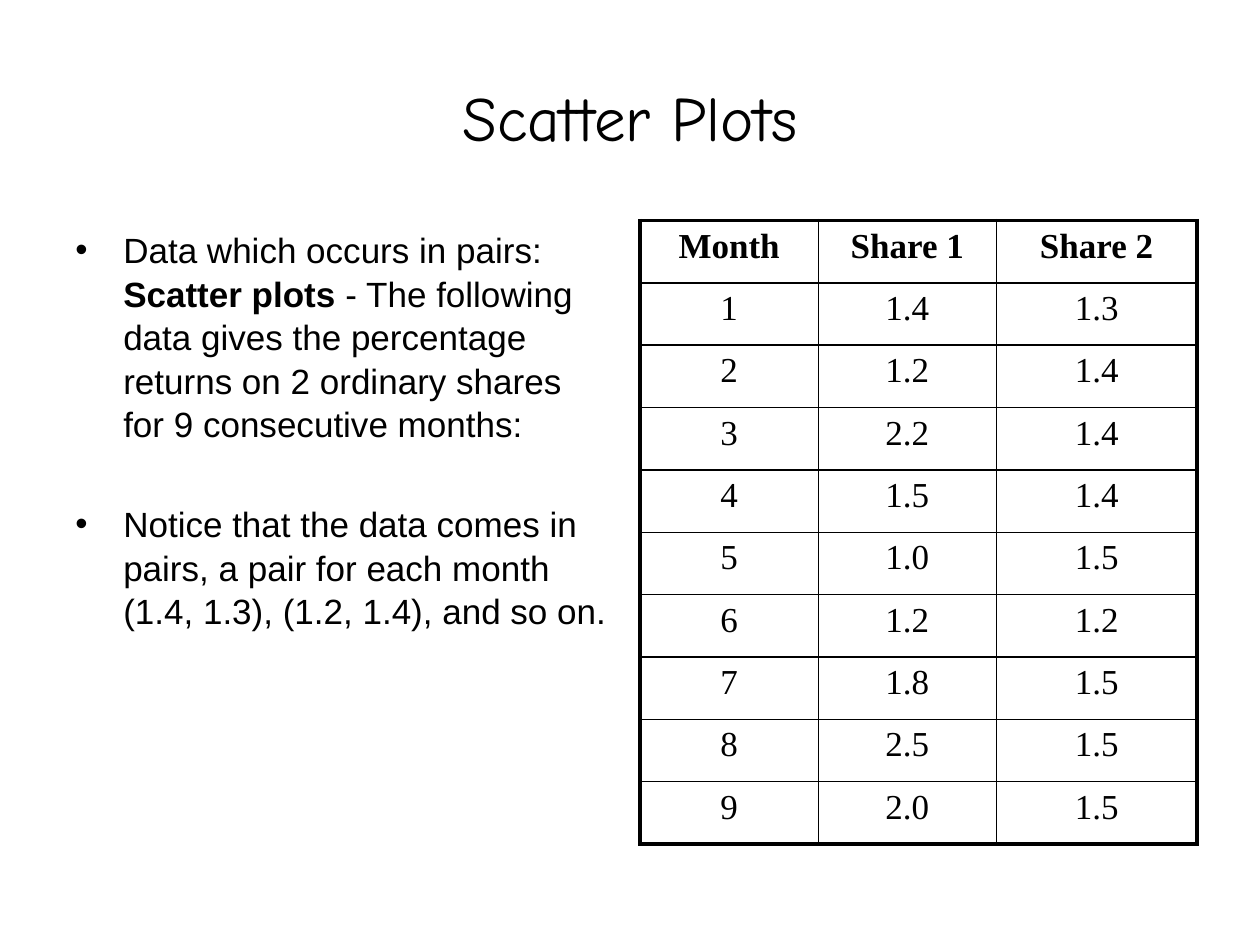
from dataclasses import dataclass

from lxml.etree import SubElement
from pptx import Presentation
from pptx.dml.color import RGBColor
from pptx.enum.text import MSO_ANCHOR as Anchor, PP_ALIGN as Align
from pptx.oxml.ns import qn
from pptx.util import Inches, Pt


@dataclass(frozen=True)
class Theme:
    ink: str = "000000"
    title_font: str = "Comic Neue"
    body_font: str = "Arial"
    table_font: str = "Times New Roman"
    title_size: int = 36
    text_size: int = 20
    space_before: int = 4
    bullet_gap: int = 32
    line_spacing: float = 1.04
    bullet_indent: float = 0.38
    outer_rule: float = 2.25
    inner_rule: float = 1


class ScatterSlide:
    """Holds the theme and the current slide; lengths are shares of its size."""

    def __init__(self, deck, theme):
        self.theme = theme
        self.width, self.height = deck.slide_width, deck.slide_height
        self.slide = deck.slides.add_slide(deck.slide_layouts[5])

    def box(self, left, top, width, height):
        return (round(left * self.width), round(top * self.height),
                round(width * self.width), round(height * self.height))

    def style(self, paragraph, font, size, bold=False):
        for run in paragraph.runs:
            run.font.name, run.font.size, run.font.bold = font, Pt(size), bold
            run.font.color.rgb = RGBColor.from_string(self.theme.ink)

    def title(self, text, area):
        heading = self.slide.shapes.title
        heading.left, heading.top, heading.width, heading.height = self.box(*area)
        frame = heading.text_frame
        frame.text = text
        frame.vertical_anchor = Anchor.MIDDLE
        frame.paragraphs[0].alignment = Align.CENTER
        self.style(frame.paragraphs[0], self.theme.title_font, self.theme.title_size)

    def bullets(self, items, area):
        """Each item is a list of (text, bold) pieces."""
        theme = self.theme
        frame = self.slide.shapes.add_textbox(*self.box(*area)).text_frame
        frame.word_wrap = True
        for index, pieces in enumerate(items):
            point = frame.add_paragraph() if index else frame.paragraphs[0]
            point.space_before = Pt(theme.bullet_gap if index else theme.space_before)
            point.line_spacing = theme.line_spacing
            for text, _ in pieces:
                point.add_run().text = text
            self.style(point, theme.body_font, theme.text_size)
            for run, (_, bold) in zip(point.runs, pieces):
                run.font.bold = bold
            props = point._p.get_or_add_pPr()
            indent = Inches(theme.bullet_indent)
            props.set("marL", str(indent))
            props.set("indent", str(-indent))
            SubElement(props, qn("a:buFont"), typeface=theme.body_font)
            SubElement(props, qn("a:buChar"), char="•")

    def border(self, cell, side, points):
        line = SubElement(cell._tc.get_or_add_tcPr(), qn(f"a:ln{side}"),
                          w=str(Pt(points)))
        fill = SubElement(line, qn("a:solidFill"))
        SubElement(fill, qn("a:srgbClr"), val=self.theme.ink)

    def table(self, rows, column_shares, area):
        theme = self.theme
        left, top, width, height = self.box(*area)
        grid = self.slide.shapes.add_table(
            len(rows), len(column_shares), left, top, width, height).table
        grid.first_row = grid.horz_banding = False
        for column, share in zip(grid.columns, column_shares):
            column.width = round(share * width)
        last_row, last_column = len(rows) - 1, len(column_shares) - 1
        for r, values in enumerate(rows):
            grid.rows[r].height = height // len(rows)
            for c, value in enumerate(values):
                cell = grid.cell(r, c)
                cell.text_frame.text = value
                entry = cell.text_frame.paragraphs[0]
                entry.alignment = Align.CENTER
                entry.space_before = Pt(theme.space_before)
                self.style(entry, theme.table_font, theme.text_size, bold=r == 0)
                # Heavy frame around the table, thin rules inside
                on_edge = {"L": c == 0, "R": c == last_column,
                           "T": r == 0, "B": r == last_row}
                for side, outer in on_edge.items():
                    self.border(cell, side,
                                theme.outer_rule if outer else theme.inner_rule)
                cell.fill.background()


def main():
    deck = Presentation()
    deck.slide_width, deck.slide_height = Inches(10), Inches(7.5)
    page = ScatterSlide(deck, Theme())

    # Two equal columns between the margins
    margin, column, top, height = 0.05, 0.442, 1.75 / 7.5, 0.66

    # Title
    page.title("Scatter Plots", (margin, 0.04, 1 - 2 * margin, 1.25 / 7.5))

    # Explanation
    page.bullets([
        [("Data which occurs in pairs: ", False),
         ("Scatter plots", True),
         (" - The following data gives the percentage returns on "
          "2 ordinary shares for 9 consecutive months:", False)],
        [("Notice that the data comes in pairs, a pair for each month "
          "(1.4, 1.3), (1.2, 1.4), and so on.", False)],
    ], (margin, top, column, height))

    # Monthly returns
    share_1 = [1.4, 1.2, 2.2, 1.5, 1.0, 1.2, 1.8, 2.5, 2.0]
    share_2 = [1.3, 1.4, 1.4, 1.4, 1.5, 1.2, 1.5, 1.5, 1.5]
    returns = [[str(month), str(first), str(second)] for month, (first, second)
               in enumerate(zip(share_1, share_2), start=1)]
    page.table([["Month", "Share 1", "Share 2"]] + returns, (0.32, 0.32, 0.36),
               (1 - margin - column, top, column, height))

    deck.save("out.pptx")


if __name__ == "__main__":
    main()
